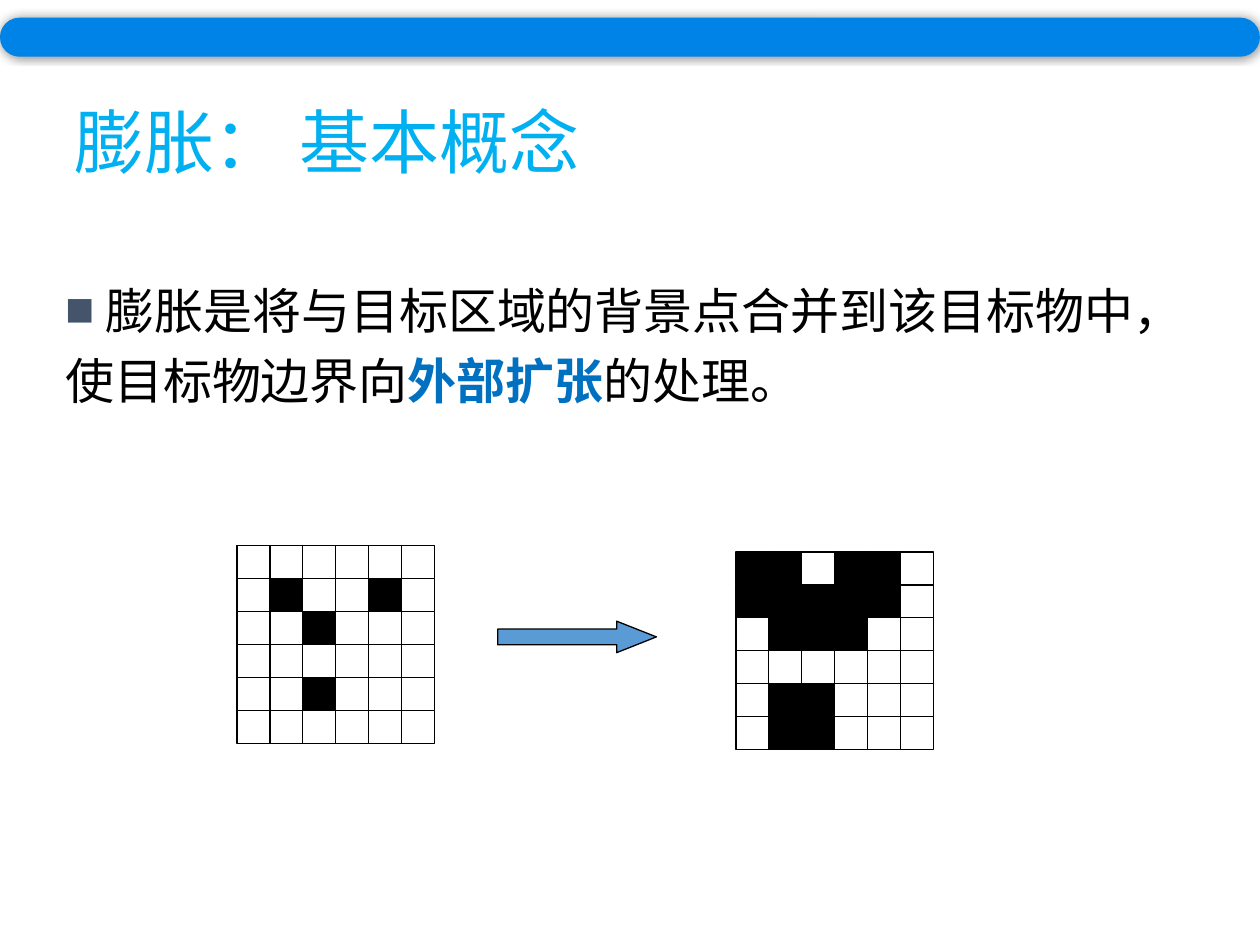
from dataclasses import dataclass

import pptx
import pptx.dml.color
import pptx.enum.shapes
import pptx.enum.text
import pptx.oxml
import pptx.oxml.ns
import pptx.util
from pptx.util import Inches

SHAPES = pptx.enum.shapes.MSO_SHAPE
ANCHORS = pptx.enum.text.MSO_ANCHOR


@dataclass(frozen=True)
class Theme:
    font: str = "Noto Sans CJK SC"
    title_size: int = 40
    body_size: int = 28
    line_width: float = 0.75
    title: str = "00B0F0"
    text: str = "000000"
    emphasis: str = "0070C0"
    bullet: str = "44546A"
    banner: str = "0083E6"
    arrow: str = "5B9BD5"
    ink: str = "000000"
    paper: str = "FFFFFF"


THEME = Theme()

# One string per grid row; "#" is a target pixel.
BEFORE = ["......", ".#..#.", "..#...", "......", "..#...", "......"]
AFTER = ["##.##.", "#####.", ".###..", "......", ".##...", ".##..."]


def rgb(value):
    return pptx.dml.color.RGBColor.from_string(value)


def drawing_element(tag, content):
    return pptx.oxml.parse_xml(
        f'<a:{tag} {pptx.oxml.ns.nsdecls("a")} {content}</a:{tag}>'
    )


def add_text(slide, box, runs, size, anchor=ANCHORS.TOP, line_spacing=1.0, space_before=0):
    """Add a one-paragraph text box from (text, colour, bold) runs; return the paragraph."""
    frame = slide.shapes.add_textbox(*box).text_frame
    frame.word_wrap = True
    frame.vertical_anchor = anchor
    paragraph = frame.paragraphs[0]
    paragraph.line_spacing = line_spacing
    paragraph.space_before = pptx.util.Pt(space_before)
    for text, color, bold in runs:
        run = paragraph.add_run()
        run.text = text
        run.font.name = THEME.font
        run.font.size = pptx.util.Pt(size)
        run.font.bold = bold
        run.font.color.rgb = rgb(color)
        run.font.fill._xPr.append(drawing_element("ea", f'typeface="{THEME.font}">'))
    return paragraph


def add_square_bullet(paragraph):
    properties = paragraph._p.get_or_add_pPr()
    properties.set("marL", "0")
    properties.set("indent", "0")
    properties.append(drawing_element("buClr", f'><a:srgbClr val="{THEME.bullet}"/>'))
    properties.append(drawing_element("buSzPct", 'val="60000">'))
    properties.append(drawing_element("buFont", f'typeface="{THEME.font}">'))
    properties.append(drawing_element("buChar", 'char="■">'))


def add_filled_shape(shapes, kind, box, fill, line=None):
    shape = shapes.add_shape(kind, *box)
    shape.shadow.inherit = False
    shape.fill.solid()
    shape.fill.fore_color.rgb = rgb(fill)
    if line:
        shape.line.color.rgb = rgb(line)
        shape.line.width = pptx.util.Pt(THEME.line_width)
    else:
        shape.line.fill.background()
    return shape


def add_pixel_grid(slide, box, rows):
    left, top, width, height = box
    cell_width = width / len(rows[0])
    cell_height = height / len(rows)
    group = slide.shapes.add_group_shape()
    for row, pixels in enumerate(rows):
        for column, pixel in enumerate(pixels):
            cell = (
                round(left + column * cell_width),
                round(top + row * cell_height),
                round(cell_width),
                round(cell_height),
            )
            fill = THEME.ink if pixel == "#" else THEME.paper
            add_filled_shape(group.shapes, SHAPES.RECTANGLE, cell, fill, THEME.ink)


def add_arrow(slide, box):
    arrow = add_filled_shape(slide.shapes, SHAPES.RIGHT_ARROW, box, THEME.arrow, THEME.ink)
    arrow.adjustments[1] = 1.26


def add_banner(slide, box):
    banner = add_filled_shape(slide.shapes, SHAPES.ROUNDED_RECTANGLE, box, THEME.banner)
    banner.adjustments[0] = 0.5
    effects = banner._element.spPr.find(pptx.oxml.ns.qn("a:effectLst"))
    effects.append(drawing_element(
        "outerShdw",
        f'blurRad="{pptx.util.Pt(5)}" dist="0" dir="0" rotWithShape="0">'
        f'<a:srgbClr val="{THEME.ink}"><a:alpha val="40000"/></a:srgbClr>',
    ))


def add_title(slide, box):
    add_text(slide, box, [("膨胀： 基本概念", THEME.title, False)], THEME.title_size,
             anchor=ANCHORS.MIDDLE, line_spacing=0.9)


def add_definition(slide, box):
    runs = [
        (" 膨胀是将与目标区域的背景点合并到该目标物中，使目标物边界向", THEME.text, False),
        ("外部扩张", THEME.emphasis, True),
        ("的处理。", THEME.text, False),
    ]
    paragraph = add_text(slide, box, runs, THEME.body_size, line_spacing=1.2, space_before=10)
    add_square_bullet(paragraph)


def main():
    presentation = pptx.Presentation()
    presentation.slide_width = Inches(10)
    presentation.slide_height = Inches(7.5)
    slide = presentation.slides.add_slide(presentation.slide_layouts[6])
    grid_side = Inches(1.57)

    add_title(slide, (Inches(0.49), Inches(0.53), Inches(7.67), Inches(1.25)))
    add_definition(slide, (Inches(0.42), Inches(2.08), Inches(9.33), Inches(1.42)))
    add_pixel_grid(slide, (Inches(1.88), Inches(4.33), grid_side, grid_side), BEFORE)
    add_arrow(slide, (Inches(3.95), Inches(4.93), Inches(1.26), Inches(0.25)))
    add_pixel_grid(slide, (Inches(5.84), Inches(4.38), grid_side, grid_side), AFTER)
    add_banner(slide, (Inches(0), Inches(0.14), presentation.slide_width, Inches(0.31)))
    presentation.save("out.pptx")


if __name__ == "__main__":
    main()
